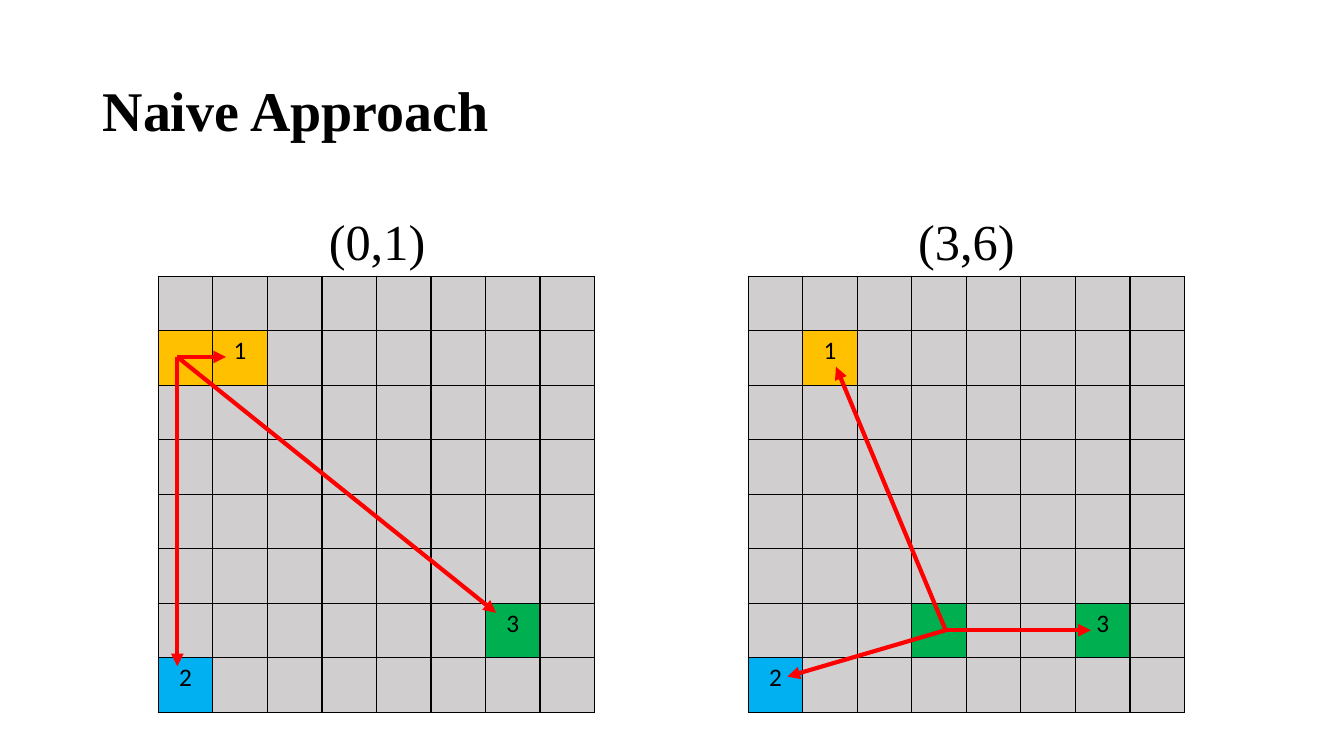
from pptx import Presentation
from pptx.dml.color import RGBColor
from pptx.enum.shapes import MSO_CONNECTOR as Connector
from pptx.enum.text import MSO_ANCHOR as Anchor, PP_ALIGN as Align
from pptx.oxml import parse_xml
from pptx.oxml.ns import nsdecls, qn
from pptx.util import Inches, Pt

BLACK = RGBColor(0x00, 0x00, 0x00)
GRAY = RGBColor(0xD0, 0xCE, 0xCE)
ORANGE = RGBColor(0xFF, 0xC0, 0x00)
GREEN = RGBColor(0x00, 0xB0, 0x50)
BLUE = RGBColor(0x00, 0xB0, 0xF0)
RED = RGBColor(0xFF, 0x00, 0x00)

TITLE = "Naive Approach"
TITLE_BOX = (0.92, 0.4, 11.5, 1.45)
SITES = {(1, 1): ("1", ORANGE), (7, 0): ("2", BLUE), (6, 6): ("3", GREEN)}

# Arrow points are (column, row) positions in units of one grid cell.
BOARDS = [
    {
        "caption": "(0,1)",
        "caption_box": (0.92, 1.84, 5.64, 0.9),
        "left": 1.57,
        "query": ((1, 0), ORANGE),
        "start": (0.35, 1.48),
        "targets": [(0.35, 7.15), (1.24, 1.48), (6.19, 6.17)],
    },
    {
        "caption": "(3,6)",
        "caption_box": (6.75, 1.84, 5.67, 0.9),
        "left": 7.42,
        "query": ((6, 3), GREEN),
        "start": (3.62, 6.49),
        "targets": [(6.28, 6.49), (1.61, 1.66), (0.72, 7.34)],
    },
]
COUNT = 8
BOARD_TOP = 2.74
BOARD_SIZE = 4.33
CELL_SIZE = BOARD_SIZE / COUNT


def add_heading(slide, words, box, size, anchor, align, bold=False):
    frame = slide.shapes.add_textbox(*map(Inches, box)).text_frame
    frame.word_wrap = True
    frame.vertical_anchor = anchor
    heading = frame.paragraphs[0]
    heading.text = words
    heading.alignment = align
    heading.line_spacing = 0.9
    heading.font.name = "Times New Roman"
    heading.font.size = Pt(size)
    heading.font.bold = bold
    heading.font.color.rgb = BLACK


def style_cell(cell, label, color):
    properties = cell._tc.get_or_add_tcPr()
    for side in ("lnL", "lnR", "lnT", "lnB"):
        properties.append(parse_xml(
            f'<a:{side} {nsdecls("a")} w="{Pt(1)}"><a:solidFill>'
            f'<a:srgbClr val="{BLACK}"/></a:solidFill></a:{side}>'))
    cell.fill.solid()
    cell.fill.fore_color.rgb = color
    if label:
        number = cell.text_frame.paragraphs[0]
        number.text = label
        number.alignment = Align.CENTER
        number.font.name = "Calibri"
        number.font.size = Pt(18)
        number.font.color.rgb = BLACK


def add_grid(slide, board):
    grid = slide.shapes.add_table(
        COUNT, COUNT, Inches(board["left"]), Inches(BOARD_TOP),
        Inches(BOARD_SIZE), Inches(BOARD_SIZE)).table
    grid.first_row = False
    grid.horz_banding = False
    query, query_color = board["query"]
    marked = {**SITES, query: ("", query_color)}
    for row in range(COUNT):
        for column in range(COUNT):
            label, color = marked.get((row, column), ("", GRAY))
            style_cell(grid.cell(row, column), label, color)


def add_arrow(slide, left, start, target):
    ends = [Inches(origin + CELL_SIZE * step)
            for point in (start, target)
            for origin, step in zip((left, BOARD_TOP), point)]
    arrow = slide.shapes.add_connector(Connector.STRAIGHT, *ends)
    arrow.line.color.rgb = RED
    arrow.line.width = Pt(3)
    properties = arrow.element.spPr
    properties.find(qn("a:ln")).append(
        parse_xml(f'<a:tailEnd {nsdecls("a")} type="triangle"/>'))
    properties.append(parse_xml(f'<a:effectLst {nsdecls("a")}/>'))


def main():
    deck = Presentation()
    deck.slide_width = Inches(13.33)
    deck.slide_height = Inches(7.5)
    slide = deck.slides.add_slide(deck.slide_layouts[6])
    add_heading(slide, TITLE, TITLE_BOX, 40, Anchor.MIDDLE, Align.LEFT, bold=True)
    for board in BOARDS:
        add_heading(slide, board["caption"], board["caption_box"], 36,
                    Anchor.BOTTOM, Align.CENTER)
        add_grid(slide, board)
        for target in board["targets"]:
            add_arrow(slide, board["left"], board["start"], target)
    deck.save("out.pptx")


if __name__ == "__main__":
    main()
